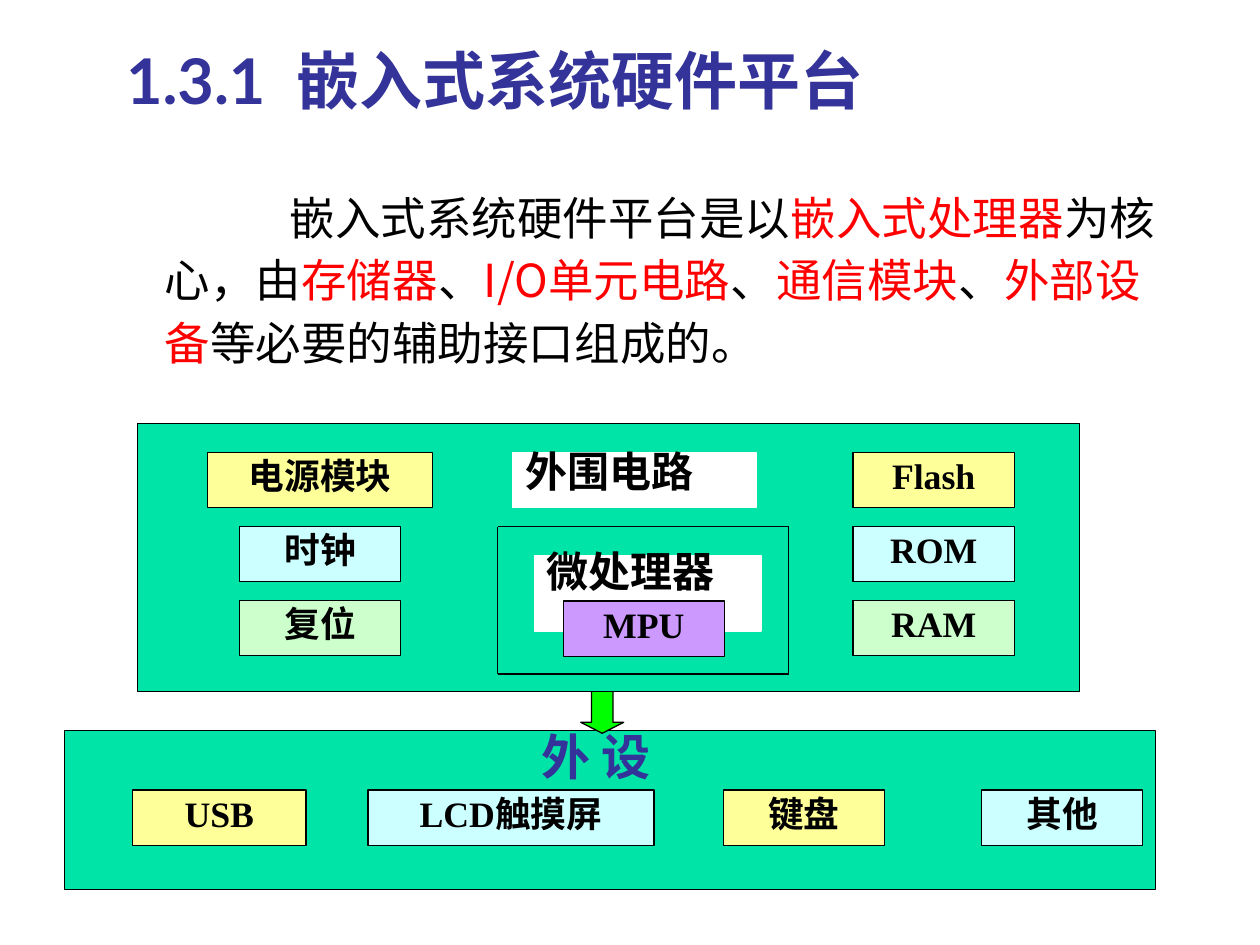
import dataclasses

import pptx
import pptx.dml.color
import pptx.enum.shapes
import pptx.enum.text
import pptx.oxml.ns
import pptx.util
from lxml import etree

COLUMNS, ROWS = 100, 75
CELL = pptx.util.Inches(0.1)
LATIN, SERIF, CHINESE = "Lato", "Times New Roman", "Noto Sans CJK SC"
ALIGN = pptx.enum.text.PP_ALIGN
ANCHOR = pptx.enum.text.MSO_ANCHOR
SHAPE = pptx.enum.shapes.MSO_SHAPE

COLORS = {
    "panel": "00E4A8",
    "yellow": "FFFF99",
    "cyan": "CCFFFF",
    "mint": "CCFFCC",
    "violet": "CC99FF",
    "arrow": "00FF00",
    "heading": "333399",
    "highlight": "FF0000",
    "black": "000000",
    "white": "FFFFFF",
}


@dataclasses.dataclass
class Box:
    left: float
    top: float
    width: float
    height: float

    def inner(self, left, top, width, height):
        return Box(self.left + left, self.top + top, width, height)

    def lengths(self):
        return [round(value * CELL) for value in dataclasses.astuple(self)]


def rgb(name):
    return pptx.dml.color.RGBColor.from_string(COLORS[name])


def format_run(run, font_name, size, color, bold=False):
    font = run.font
    font.size = pptx.util.Pt(size)
    font.bold = bold
    font.color.rgb = rgb(color)
    font.name = font_name
    east_asian = etree.SubElement(run._r.get_or_add_rPr(), pptx.oxml.ns.qn("a:ea"))
    east_asian.set("typeface", CHINESE)


def write_label(shape, text, size, color, alignment, spacing):
    text_frame = shape.text_frame
    text_frame.word_wrap = True
    text_frame.vertical_anchor = ANCHOR.TOP
    text_frame.text = text
    paragraph = text_frame.paragraphs[0]
    paragraph.alignment = alignment
    paragraph.line_spacing = spacing
    format_run(paragraph.runs[0], SERIF, size, color, bold=True)


def add_block(slide, box, fill, line="black", kind=SHAPE.RECTANGLE):
    shape = slide.shapes.add_shape(kind, *box.lengths())
    shape.shadow.inherit = False
    shape.fill.solid()
    shape.fill.fore_color.rgb = rgb(fill)
    shape.line.color.rgb = rgb(line)
    shape.line.width = pptx.util.Pt(0.75)
    return shape


def add_module(slide, box, text, fill):
    write_label(add_block(slide, box, fill), text, 20.4, "black", ALIGN.CENTER, 0.9)


def add_caption(slide, box, text, spacing):
    block = add_block(slide, box, "white", "white")
    write_label(block, text, 24, "black", ALIGN.JUSTIFY, spacing)


def add_frame(slide, box):
    left, top, width, height = box.lengths()
    right, bottom = left + width, top + height
    corners = [(left, top), (right, top), (right, bottom), (left, bottom)]
    for start, end in zip(corners, corners[1:] + corners[:1]):
        line = slide.shapes.add_connector(
            pptx.enum.shapes.MSO_CONNECTOR.STRAIGHT, *start, *end
        )
        line.line.color.rgb = rgb("black")
        line.line.width = pptx.util.Pt(0.75)
        etree.SubElement(line._element.spPr, pptx.oxml.ns.qn("a:effectLst"))


def place_title(slide, box):
    title = slide.shapes.title
    title.left, title.top, title.width, title.height = box.lengths()
    text_frame = title.text_frame
    text_frame.text = "1.3.1  嵌入式系统硬件平台"
    text_frame.vertical_anchor = ANCHOR.MIDDLE
    paragraph = text_frame.paragraphs[0]
    paragraph.alignment = ALIGN.LEFT
    format_run(paragraph.runs[0], LATIN, 36, "heading", bold=True)


def place_definition(slide, box):
    text_frame = slide.shapes.add_textbox(*box.lengths()).text_frame
    text_frame.word_wrap = True
    paragraph = text_frame.paragraphs[0]
    paragraph.line_spacing = 1.15
    properties = paragraph._p.get_or_add_pPr()
    properties.set("marL", str(round(3.8 * CELL)))
    properties.set("indent", str(round(9.9 * CELL)))
    pieces = [
        "嵌入式系统硬件平台是以", "嵌入式处理器", "为核心，由", "存储器", "、",
        "I/O单元电路", "、", "通信模块", "、", "外部设备", "等必要的辅助接口组成的。",
    ]
    for index, piece in enumerate(pieces):
        run = paragraph.add_run()
        run.text = piece
        format_run(run, CHINESE, 26, "highlight" if index % 2 else "black")


def place_peripherals(slide, box):
    add_block(slide, box, "panel")
    modules = [
        (5.4, 13.8, "USB", "yellow"),
        (24.1, 22.7, "LCD触摸屏", "cyan"),
        (52.3, 12.8, "键盘", "yellow"),
        (72.8, 12.8, "其他", "cyan"),
    ]
    for left, width, text, fill in modules:
        add_module(slide, box.inner(left, 4.7, width, 4.4), text, fill)
    heading = slide.shapes.add_textbox(*box.inner(36.9, 0.7, 12.9, 4.4).lengths())
    write_label(heading, "外 设", 28, "heading", ALIGN.JUSTIFY, 0.64)


def place_arrow(slide, box):
    arrow = add_block(slide, box, "arrow", kind=SHAPE.DOWN_ARROW)
    arrow.adjustments[0] = 0.5
    arrow.adjustments[1] = 0.255


def place_core(slide, box):
    add_block(slide, box, "panel")
    first_row, row_step = 2.3, 5.87
    fills = ["yellow", "cyan", "mint"]
    columns = [
        (14.5, ["电源模块", "时钟", "复位"], [17.9, 12.8, 12.8]),
        (63.2, ["Flash", "ROM", "RAM"], [12.8, 12.8, 12.8]),
    ]
    for center, texts, widths in columns:
        for row, (text, width, fill) in enumerate(zip(texts, widths, fills)):
            top = first_row + row * row_step
            module = box.inner(center - width / 2, top, width, 4.4)
            add_module(slide, module, text, fill)
    add_caption(slide, box.inner(29.8, first_row, 19.3, 4.4), "外围电路", 0.72)
    add_caption(slide, box.inner(31.5, 10.5, 18, 6), "微处理器", 0.64)
    add_module(slide, box.inner(33.8, 14.1, 12.8, 4.4), "MPU", "violet")
    add_frame(slide, box.inner(28.6, 8.2, 23.1, 11.7))


def main():
    presentation = pptx.Presentation()
    presentation.slide_width = COLUMNS * CELL
    presentation.slide_height = ROWS * CELL
    slide = presentation.slides.add_slide(presentation.slide_layouts[5])
    place_title(slide, Box(9, 1.3, 85.2, 10))
    place_definition(slide, Box(8.3, 13.9, 85, 17.1))
    place_peripherals(slide, Box(5.1, 58, 86.6, 12.6))
    place_arrow(slide, Box(46.1, 54.8, 3.4, 3.4))
    place_core(slide, Box(10.9, 33.6, 74.8, 21.3))
    presentation.save("out.pptx")


if __name__ == "__main__":
    main()
